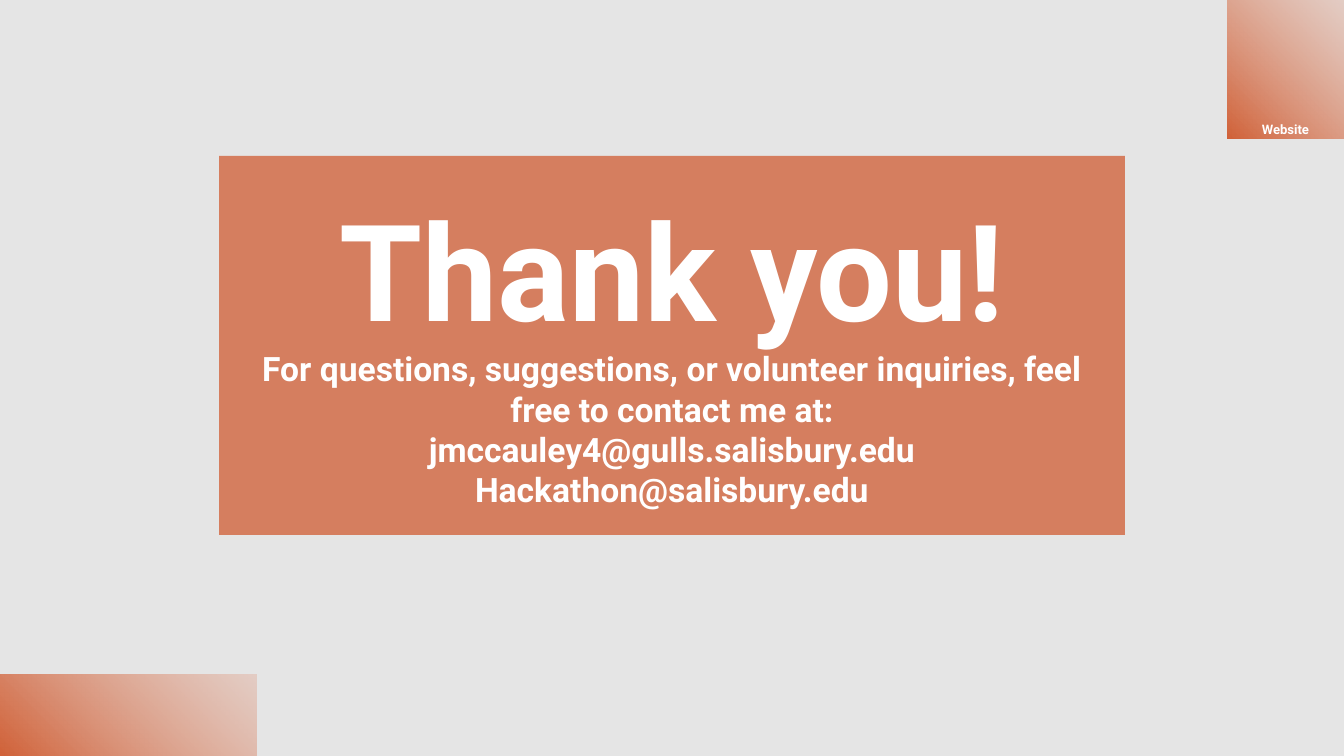
import dataclasses

import pptx
import pptx.dml.color
import pptx.enum.shapes
import pptx.enum.text
import pptx.oxml
import pptx.oxml.ns
import pptx.util

Inches = pptx.util.Inches


@dataclasses.dataclass(frozen=True)
class Theme:
    font: str = "Roboto"
    text: str = "FFFFFF"
    veil: str = "000000"
    panel: str = "CE5123"
    gradient_dark: str = "D16138"
    gradient_light: str = "DF957A"
    title_size: int = 72
    body_size: int = 18
    label_size: int = 7


THEME = Theme()
TEXT_HEIGHT = 1.49


def set_color(color_format, color):
    color_format.rgb = pptx.dml.color.RGBColor.from_string(color)


def set_last_color_opacity(shape, percent):
    """Set the opacity of the solid fill or of the last gradient stop."""
    fill = shape.fill._xPr.find(pptx.oxml.ns.qn("a:solidFill"))
    if fill is None:
        fill = shape.fill._xPr.find(pptx.oxml.ns.qn("a:gradFill"))
    color = list(fill.iter(pptx.oxml.ns.qn("a:srgbClr")))[-1]
    color.append(pptx.oxml.parse_xml(
        f'<a:alpha {pptx.oxml.ns.nsdecls("a")} val="{percent * 1000}"/>'))


def add_rectangle(slide, box):
    shape = slide.shapes.add_shape(
        pptx.enum.shapes.MSO_SHAPE.RECTANGLE, *map(Inches, box))
    shape.shadow.inherit = False
    shape.line.fill.background()
    return shape


def add_tinted_rectangle(slide, box, color, opacity):
    shape = add_rectangle(slide, box)
    shape.fill.solid()
    set_color(shape.fill.fore_color, color)
    set_last_color_opacity(shape, opacity)


def add_corner_accent(slide, box):
    """Fade from the dark lower left to the light upper right."""
    shape = add_rectangle(slide, box)
    shape.fill.gradient()
    shape.fill.gradient_angle = 45
    dark, light = shape.fill.gradient_stops
    set_color(dark.color, THEME.gradient_dark)
    set_color(light.color, THEME.gradient_light)
    set_last_color_opacity(shape, 30)


def write_text(shape, lines, size):
    frame = shape.text_frame
    frame.text = "\n".join(lines)
    frame_format = {
        "word_wrap": True,
        "auto_size": pptx.enum.text.MSO_AUTO_SIZE.NONE,
        "vertical_anchor": pptx.enum.text.MSO_ANCHOR.TOP,
    }
    for side in ("left", "top", "right", "bottom"):
        frame_format[f"margin_{side}"] = Inches(0.1)
    for name, value in frame_format.items():
        setattr(frame, name, value)
    font_format = {"name": THEME.font, "size": pptx.util.Pt(size), "bold": True}
    for paragraph in frame.paragraphs:
        paragraph.alignment = pptx.enum.text.PP_ALIGN.CENTER
        for run in paragraph.runs:
            for name, value in font_format.items():
                setattr(run.font, name, value)
            set_color(run.font.color, THEME.text)


def add_text(slide, box, lines, size):
    write_text(slide.shapes.add_textbox(*map(Inches, box)), lines, size)


def place_title(slide, box, text):
    """Fill the title placeholder and bring it to the front."""
    title = slide.shapes.title
    title.left, title.top, title.width, title.height = map(Inches, box)
    write_text(title, [text], THEME.title_size)
    slide.shapes._spTree.append(title._element)


def build_message(slide, box):
    left, top, width, height = box
    add_tinted_rectangle(slide, box, THEME.panel, 69)
    place_title(slide, (left, top + 0.13, width, TEXT_HEIGHT), "Thank you!")
    add_text(
        slide,
        (left, top + height - TEXT_HEIGHT, width, TEXT_HEIGHT),
        [
            "For questions, suggestions, or volunteer inquiries, "
            "feel free to contact me at:",
            "jmccauley4@gulls.salisbury.edu Hackathon@salisbury.edu",
        ],
        THEME.body_size,
    )


def build_website_corner(slide, box):
    left, top, width, height = box
    add_corner_accent(slide, box)
    label_width = 6.74
    label_left = left + (width - label_width) / 2
    add_text(slide, (label_left, top + 0.8, label_width, TEXT_HEIGHT),
             ["Website"], THEME.label_size)


def main():
    presentation = pptx.Presentation()
    presentation.slide_width = Inches(10)
    presentation.slide_height = Inches(10) * 9 // 16
    slide = presentation.slides.add_slide(presentation.slide_layouts[5])
    add_tinted_rectangle(slide, (-0.04, -0.06, 10.13, 5.76), THEME.veil, 10)
    build_message(slide, (1.63, 1.16, 6.74, 2.82))
    add_corner_accent(slide, (0, 5.02, 1.91, 0.61))
    build_website_corner(slide, (9.13, 0, 0.87, 1.03))
    presentation.save("out.pptx")


if __name__ == "__main__":
    main()
